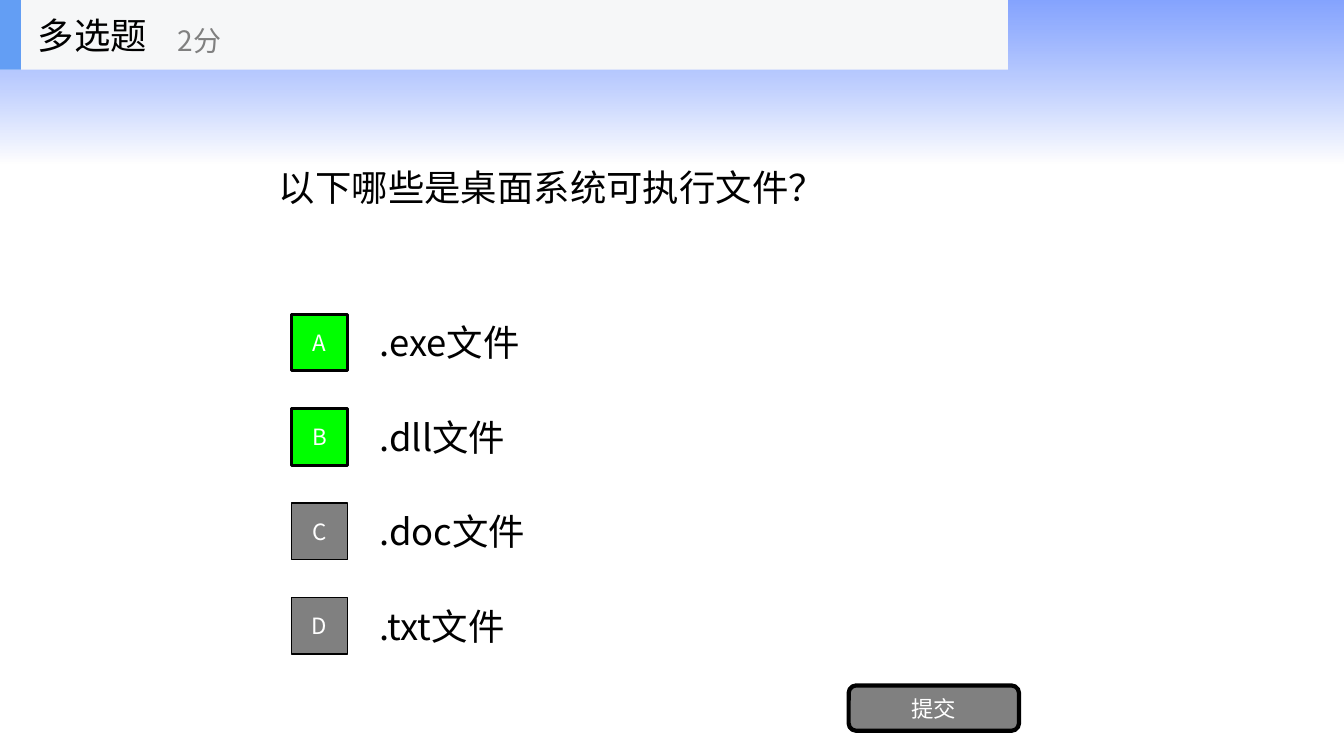
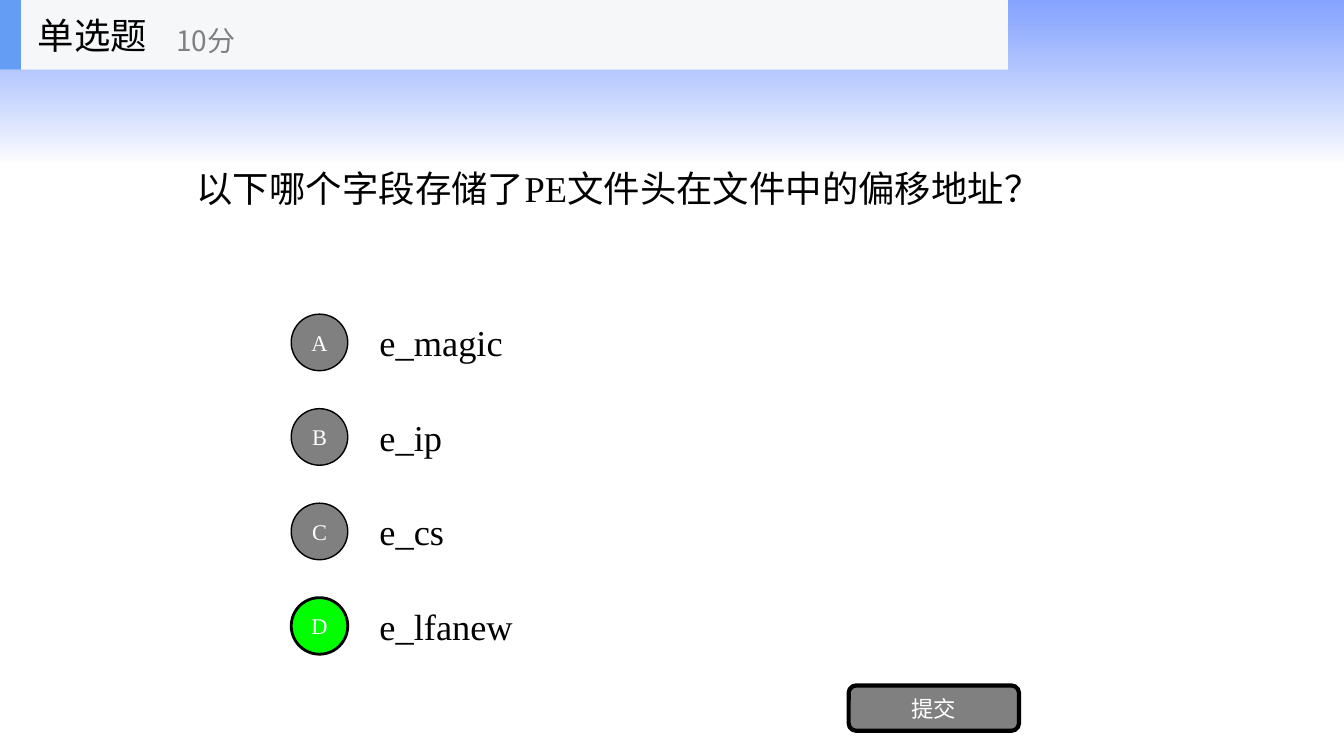
"""Build two quiz slides: a multiple-choice and a single-choice question."""
import lxml.etree
import pptx
import pptx.dml.color
import pptx.enum.shapes
import pptx.enum.text
import pptx.oxml.ns
import pptx.util

Pt = pptx.util.Pt
RGBColor = pptx.dml.color.RGBColor
MSO_SHAPE = pptx.enum.shapes.MSO_SHAPE
PP_ALIGN = pptx.enum.text.PP_ALIGN
qn = pptx.oxml.ns.qn

BLACK = RGBColor(0x00, 0x00, 0x00)
WHITE = RGBColor(0xFF, 0xFF, 0xFF)
GRAY = RGBColor(0x80, 0x80, 0x80)
GREEN = RGBColor(0x00, 0xFF, 0x00)
BAND_BLUE = RGBColor(0x33, 0x66, 0xFF)
BAR_GRAY = RGBColor(0xF6, 0xF7, 0xF8)
ACCENT_BLUE = RGBColor(0x63, 0x9E, 0xF4)

SANS = "Noto Sans CJK SC"
SERIF = "Times New Roman"

SLIDE_W, SLIDE_H = 960, 540
BAND_H = 116.6
BAR_W, BAR_H = 720, 49.7
OPTION_TOP, OPTION_STEP, OPTION_H = 219.4, 67.5, 50.4
MARKER_SIZE = 40.4


def write(sp, text, font, size, color, align=PP_ALIGN.LEFT):
    """Put one vertically centred paragraph of text in a shape."""
    tf = sp.text_frame
    tf.auto_size = pptx.enum.text.MSO_AUTO_SIZE.NONE
    tf.word_wrap = True
    tf.vertical_anchor = pptx.enum.text.MSO_ANCHOR.MIDDLE
    p = tf.paragraphs[0]
    p.text = text
    p.alignment = align
    p.font.name = font
    p.font.size = Pt(size)
    p.font.color.rgb = color
    props = p._p.find(qn("a:pPr")).find(qn("a:defRPr"))
    lxml.etree.SubElement(props, qn("a:ea")).set("typeface", SANS)


def add_label(shapes, box, text, font, size, color):
    """Add a left-aligned text box."""
    sp = shapes.add_textbox(*map(Pt, box))
    write(sp, text, font, size, color)


def add_block(shapes, kind, box, fill, line_width=0):
    """Add a flat filled shape, with a black outline if a width is given."""
    sp = shapes.add_shape(kind, *map(Pt, box))
    sp.shadow.inherit = False
    sp.fill.solid()
    sp.fill.fore_color.rgb = fill
    if line_width:
        sp.line.color.rgb = BLACK
        sp.line.width = Pt(line_width)
    else:
        sp.line.fill.background()
    return sp


def add_master_band(prs, slide):
    """Make the translucent gradient band and move it to the slide master."""
    sp = add_block(slide.shapes, MSO_SHAPE.RECTANGLE, (0, 0, SLIDE_W, BAND_H), WHITE)
    sp.fill.gradient()
    sp.fill.gradient_angle = 270
    stops = zip(sp.fill.gradient_stops, (0, 1), (BAND_BLUE, WHITE), (60, 70))
    for stop, position, color, opacity in stops:
        stop.position = position
        stop.color.rgb = color
    for clr, opacity in zip(sp.element.spPr.iter(qn("a:srgbClr")), (60, 70)):
        lxml.etree.SubElement(clr, qn("a:alpha")).set("val", str(opacity * 1000))
    sp.element.nvSpPr.cNvPr.set("id", "20")
    prs.slide_master.element.cSld.spTree.insert(2, sp.element)


def add_question(slide, box, text, font):
    """Place the question in the title placeholder."""
    sp = slide.shapes.title
    sp.left, sp.top, sp.width, sp.height = map(Pt, box)
    write(sp, text, font, 26, BLACK)


def add_options(slide, options, answers, marker, font):
    """Add the lettered options and mark the right ones in green."""
    tops = [OPTION_TOP + i * OPTION_STEP for i in range(len(options))]
    for top, text in zip(tops, options):
        add_label(slide.shapes, (264, top, 504, OPTION_H), text, font, 26, BLACK)
    for top, letter in zip(tops, "ABCD"):
        right = letter in answers
        box = (208, top + (OPTION_H - MARKER_SIZE) / 2, MARKER_SIZE, MARKER_SIZE)
        sp = add_block(slide.shapes, marker, box, GREEN if right else GRAY, 2 if right else 1)
        write(sp, letter, font, 16, WHITE, PP_ALIGN.CENTER)


def add_submit(slide, font):
    """Add the submit button."""
    box = (606.2, 489.6, 121.7, 32.4)
    sp = add_block(slide.shapes, MSO_SHAPE.ROUNDED_RECTANGLE, box, GRAY, 3)
    write(sp, "提交", font, 16, WHITE, PP_ALIGN.CENTER)


def add_header(slide, kind, score, score_left, font):
    """Add the grouped bar with the question type and its score."""
    shapes = slide.shapes.add_group_shape().shapes
    add_block(shapes, MSO_SHAPE.RECTANGLE, (0, 0, BAR_W, BAR_H), BAR_GRAY)
    add_block(shapes, MSO_SHAPE.RECTANGLE, (0, 0, 15, BAR_H), ACCENT_BLUE)
    add_label(shapes, (20, 0, 150, BAR_H), kind, font, 26, BLACK)
    add_label(shapes, (score_left, 8.6, 180, 40.3), score, SANS, 20, GRAY)


def main():
    """Build and save the presentation."""
    prs = pptx.Presentation()
    prs.slide_width, prs.slide_height = Pt(SLIDE_W), Pt(SLIDE_H)
    layout = prs.slide_layouts.get_by_name("Title Only")

    slide = prs.slides.add_slide(layout)
    add_master_band(prs, slide)
    add_question(slide, (192, 49, 576, 168.5), "以下哪些是桌面系统可执行文件？", SANS)
    options = [".exe文件", ".dll文件", ".doc文件", ".txt文件"]
    add_options(slide, options, "AB", MSO_SHAPE.RECTANGLE, SANS)
    add_submit(slide, SANS)
    add_header(slide, "多选题", "2分", 120, SANS)

    slide = prs.slides.add_slide(layout)
    question = "以下哪个字段存储了PE文件头在文件中的偏移地址？"
    add_question(slide, (133.2, 49.7, 634.3, 168.5), question, SERIF)
    options = ["e_magic", "e_ip", "e_cs", "e_lfanew"]
    add_options(slide, options, "D", MSO_SHAPE.OVAL, SERIF)
    add_submit(slide, SERIF)
    add_header(slide, "单选题", "10分", 118.8, SERIF)

    prs.save("out.pptx")


if __name__ == "__main__":
    main()
